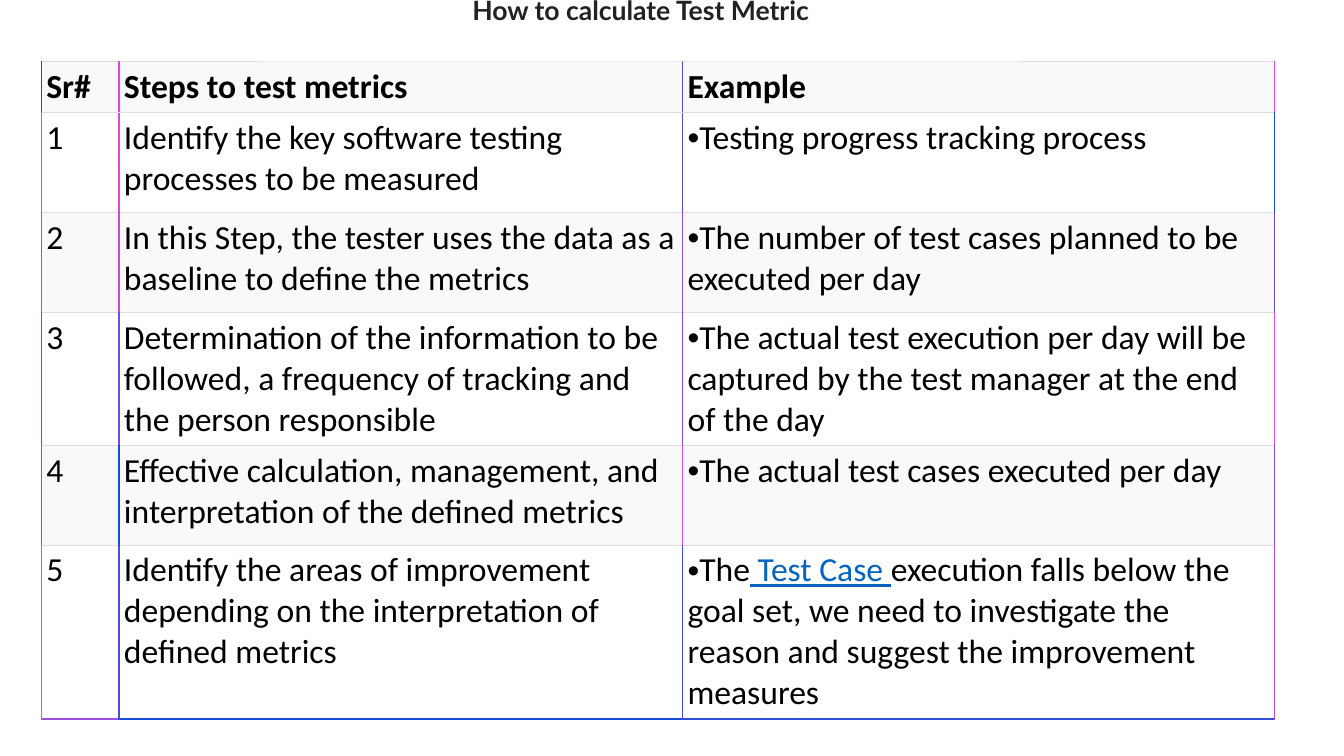
from pptx import Presentation
from pptx.dml.color import RGBColor
from pptx.enum.shapes import MSO_SHAPE
from pptx.enum.text import MSO_ANCHOR, PP_ALIGN
from pptx.oxml.ns import qn
from pptx.util import Inches, Pt
from lxml.etree import SubElement

HEADINGS = ("Sr#", "Steps to test metrics", "Example")
STEPS = [
    ("Identify the key software testing processes to be measured",
     "Testing progress tracking process"),
    ("In this Step, the tester uses the data as a baseline to define the metrics",
     "The number of test cases planned to be executed per day"),
    ("Determination of the information to be followed, a frequency of tracking "
     "and the person responsible",
     "The actual test execution per day will be captured by the test manager "
     "at the end of the day"),
    ("Effective calculation, management, and interpretation of the defined metrics",
     "The actual test cases executed per day"),
    ("Identify the areas of improvement depending on the interpretation of "
     "defined metrics",
     "The Test Case execution falls below the goal set, we need to investigate "
     "the reason and suggest the improvement measures"),
]
LINKED_TERM = " Test Case "
COLUMN_WIDTHS = (0.77, 5.59, 5.87)
ROW_HEIGHTS = (0.5, 0.99, 0.99, 1.31, 0.99, 1.64)
SIDE_COLORS = [
    ("184AD8", "D84AD8", "604AD8", "E04BD8"),
    ("D84AD8", "D84AD8", "604AD8", "184AD8"),
    ("B04BD8", "C84BD8", "984BD8", "684BD8"),
    ("704CD8", "704CD8", "804ED8", "E04BD8"),
    ("984ED8", "184DD8", "E04ED8", "804ED8"),
    ("E04ED8", "484DD8", "484DD8", "B84CD8"),
]
BOTTOM_COLORS = ("984ED8", "184DD8", "304DD8")
RULE_COLOR = "DDDDDD"


def rgb(color):
    """Turn a hex string into a colour."""
    return RGBColor.from_string(color)


def style(run, font_name, size, color, bold=False):
    """Set the font of a run."""
    font = run.font
    font.name, font.size, font.bold = font_name, Pt(size), bold
    font.color.rgb = rgb(color)


def add_border(cell, side, color, width):
    """Draw one side of a cell; sides come before the fill, in L R T B order."""
    line = SubElement(cell._tc.get_or_add_tcPr(), qn(f"a:ln{side}"), w=str(Pt(width)))
    fill = SubElement(line, qn("a:solidFill"))
    SubElement(fill, qn("a:srgbClr"), val=color)


def add_bullet(paragraph):
    """Put a bullet directly before the text."""
    properties = paragraph._p.get_or_add_pPr()
    properties.set("marL", "0")
    properties.set("indent", "0")
    SubElement(properties, qn("a:buFont"), typeface="Arial")
    SubElement(properties, qn("a:buChar"), char="•")


def fill_cell(cell, text, row, column):
    """Write one cell with its borders, fill and text."""
    last_row = row == len(STEPS)
    left, right = SIDE_COLORS[row][column:column + 2]
    add_border(cell, "L", left, 1)
    add_border(cell, "R", right, 1)
    add_border(cell, "T", RULE_COLOR, 0.75)
    if last_row:
        add_border(cell, "B", BOTTOM_COLORS[column], 1)
    else:
        add_border(cell, "B", RULE_COLOR, 0.75)
    if row % 2 == 0:
        cell.fill.solid()
        cell.fill.fore_color.rgb = rgb("F9F9F9")
    else:
        cell.fill.background()
    cell.margin_left = cell.margin_right = Inches(0.05)
    cell.margin_top = cell.margin_bottom = Inches(0.05)

    paragraph = cell.text_frame.paragraphs[0]
    if row and column == 2:
        add_bullet(paragraph)
    for part in filter(None, text.partition(LINKED_TERM)):
        run = paragraph.add_run()
        run.text = part
        linked = part == LINKED_TERM
        style(run, "Calibri", 24, "0563C1" if linked else "000000", row == 0)
        run.font.underline = linked


def add_steps_table(slide, left, top):
    """Place the table of steps and examples."""
    rows = [HEADINGS]
    rows += [(str(number), *step) for number, step in enumerate(STEPS, 1)]
    table = slide.shapes.add_table(
        len(rows), len(HEADINGS), Inches(left), Inches(top),
        Inches(sum(COLUMN_WIDTHS)), Inches(sum(ROW_HEIGHTS))).table
    for column, width in zip(table.columns, COLUMN_WIDTHS):
        column.width = Inches(width)
    for row, height in zip(table.rows, ROW_HEIGHTS):
        row.height = Inches(height)
    for row, texts in enumerate(rows):
        for column, text in enumerate(texts):
            fill_cell(table.cell(row, column), text, row, column)


def add_title(slide, left, top, width, height):
    """Place the title on its white band."""
    band = slide.shapes.add_shape(
        MSO_SHAPE.RECTANGLE, Inches(left), Inches(top), Inches(width), Inches(height))
    band.shadow.inherit = False
    band.fill.solid()
    band.fill.fore_color.rgb = rgb("FFFFFF")
    band.line.fill.background()
    frame = band.text_frame
    frame.word_wrap = True
    frame.vertical_anchor = MSO_ANCHOR.TOP
    frame.text = "How to calculate Test Metric"
    heading = frame.paragraphs[0]
    heading.alignment = PP_ALIGN.CENTER
    style(heading.runs[0], "Lato", 19, "222222", True)


def main():
    """Build the slide and save it."""
    deck = Presentation()
    deck.slide_width, deck.slide_height = Inches(13.33), Inches(7.5)
    slide = deck.slides.add_slide(deck.slide_layouts[6])
    add_steps_table(slide, 0.41, 0.61)
    add_title(slide, 2.58, -0.11, 7.55, 0.72)
    deck.save("out.pptx")


if __name__ == "__main__":
    main()
